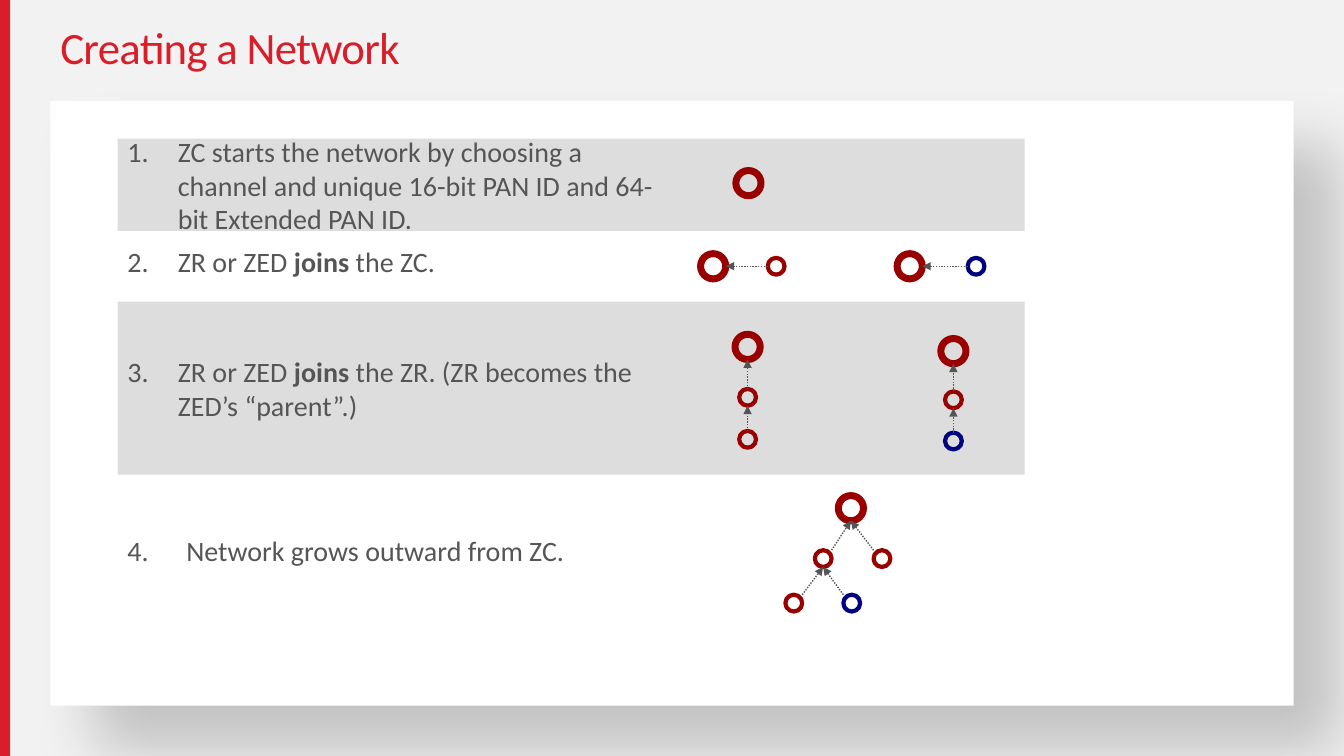
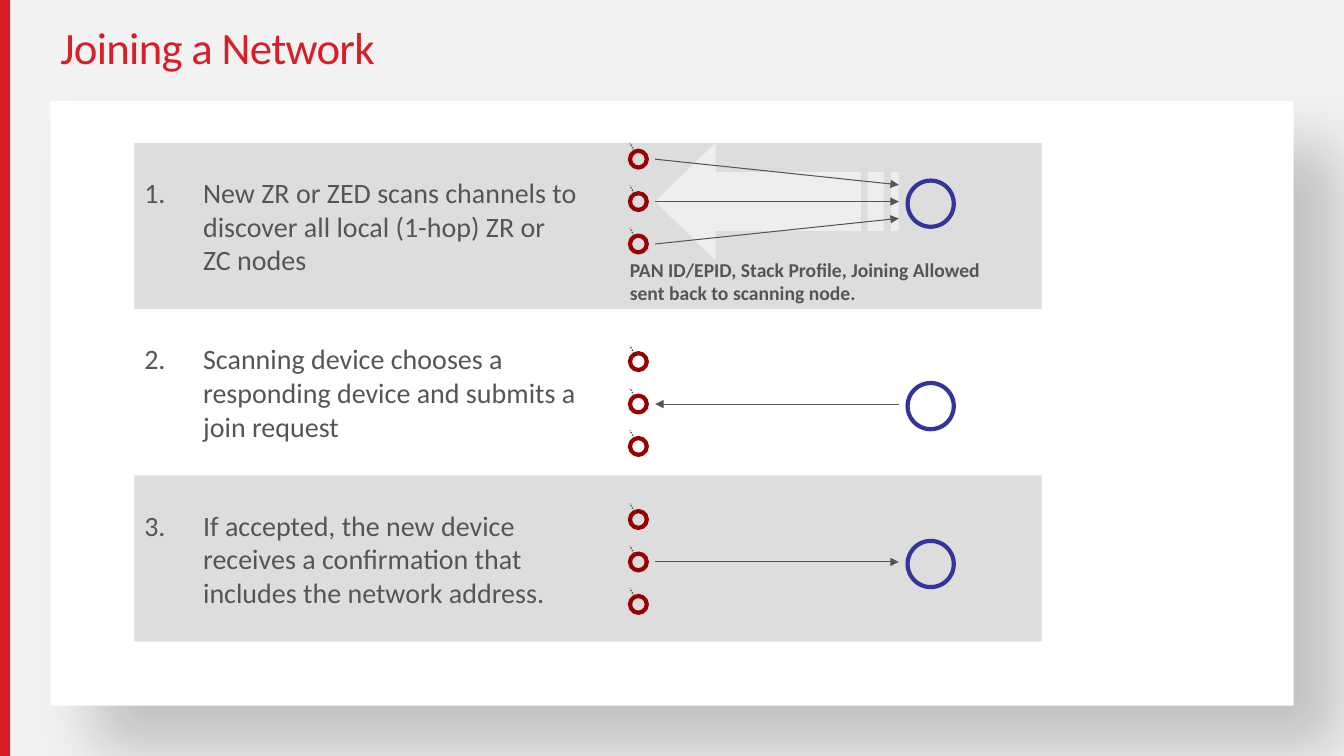
from lxml.etree import SubElement
from pptx import Presentation
from pptx.dml.color import RGBColor
from pptx.enum.dml import MSO_LINE
from pptx.enum.shapes import MSO_CONNECTOR, MSO_SHAPE
from pptx.enum.text import MSO_ANCHOR, PP_ALIGN
from pptx.oxml.ns import qn
from pptx.util import Inches, Pt

COLUMNS, ROWS = 160, 90
CELL = Inches(7.5) // ROWS
RED, GREY, BAND, WHITE, BACKGROUND = "D91E2A", "555555", "DDDDDD", "FFFFFF", "F2F2F2"
MAROON, NAVY, INDIGO, PALE = "990000", "000080", "333399", "F8F8F8"
FONT = "Calibri"
BAND_WIDTH = 108


def place(slide, geometry, box, fill=None, line=None, width=0, text="", size=20,
          color=GREY, anchor=MSO_ANCHOR.MIDDLE):
    box = [round(length * CELL) for length in box]
    if geometry is None:
        shape = slide.shapes.add_textbox(*box)
    else:
        shape = slide.shapes.add_shape(geometry, *box)
        shape.shadow.inherit = False
    if fill:
        shape.fill.solid()
        shape.fill.fore_color.rgb = RGBColor.from_string(fill)
    else:
        shape.fill.background()
    if line:
        shape.line.color.rgb = RGBColor.from_string(line)
        shape.line.width = Pt(width)
    else:
        shape.line.fill.background()
    if text:
        frame = shape.text_frame
        frame.word_wrap = True
        frame.vertical_anchor = anchor
        paragraph = frame.paragraphs[0]
        paragraph.alignment = PP_ALIGN.LEFT
        for index, part in enumerate(text.split("|")):
            run = paragraph.add_run()
            run.text = part
            run.font.name = FONT
            run.font.size = Pt(size)
            run.font.bold = index % 2 == 1
            run.font.color.rgb = RGBColor.from_string(color)
    return shape


def link(slide, start, end, width, dotted=False, arrow=True):
    points = [round(length * CELL) for length in (*start, *end)]
    connector = slide.shapes.add_connector(MSO_CONNECTOR.STRAIGHT, *points)
    connector.line.color.rgb = RGBColor.from_string(GREY)
    connector.line.width = Pt(width)
    if dotted:
        connector.line.dash_style = MSO_LINE.ROUND_DOT
    properties = connector._element.spPr
    if arrow:
        SubElement(properties.find(qn("a:ln")), qn("a:tailEnd"), type="triangle")
    SubElement(properties, qn("a:effectLst"))


presentation = Presentation()
presentation.slide_width = COLUMNS * CELL
presentation.slide_height = ROWS * CELL

contents = [
    ("Creating a Network", 14, 65, [
        (16.5, 11, 6, "ZC starts the network by choosing a channel and unique 16-bit PAN ID "
                      "and 64-bit Extended PAN ID."),
        (26.2, 9.7, 6, "ZR or ZED |joins| the ZC."),
        (35.9, 20.6, 6, "ZR or ZED |joins| the ZR. (ZR becomes the ZED’s “parent”.)"),
        (56.5, 18, 7, "Network grows outward from ZC."),
    ]),
    ("Joining a Network", 16, 54, [
        (17, 19.8, 7, "New ZR or ZED scans channels to discover all local (1-hop) ZR or ZC nodes"),
        (36.8, 19.8, 7, "Scanning device chooses a responding device and submits a join request"),
        (56.6, 19.8, 7, "If accepted, the new device receives a confirmation that includes the "
                        "network address."),
    ]),
]

slides = []
for title, left, text_width, steps in contents:
    slide = presentation.slides.add_slide(presentation.slide_layouts[6])
    slides.append(slide)
    slide.background.fill.solid()
    slide.background.fill.fore_color.rgb = RGBColor.from_string(BACKGROUND)
    place(slide, MSO_SHAPE.RECTANGLE, (0, 0, 1.2, ROWS), RED)

    card = place(slide, MSO_SHAPE.RECTANGLE, (6, 12, COLUMNS - 12, 72), WHITE)
    effects = card._element.spPr.find(qn("a:effectLst"))
    shadow = SubElement(effects, qn("a:outerShdw"), blurRad=str(Pt(45)), dist=str(Pt(45)),
                        dir="2700000", algn="tl", rotWithShape="0")
    shadow_color = SubElement(shadow, qn("a:srgbClr"), val="000000")
    SubElement(shadow_color, qn("a:alpha"), val="20000")

    heading = place(slide, None, (6, 0, COLUMNS - 12, 12), text=title, size=32, color=RED)
    paragraph = heading.text_frame.paragraphs[0]
    paragraph.line_spacing = 0.9
    paragraph.runs[0]._r.get_or_add_rPr().set("spc", "-50")

    for number, (top, height, indent, text) in enumerate(steps, 1):
        if number % 2:
            place(slide, MSO_SHAPE.RECTANGLE, (left, top, BAND_WIDTH, height), BAND)
        step = place(slide, None, (left, top, text_width, height), text=text)
        properties = step.text_frame.paragraphs[0]._p.get_or_add_pPr()
        properties.set("marL", str(indent * CELL))
        properties.set("indent", str(-indent * CELL))
        SubElement(properties, qn("a:buFont"), typeface="+mj-lt")
        SubElement(properties, qn("a:buAutoNum"), type="arabicPeriod", startAt=str(number))

creating, joining = slides

kinds = {"coordinator": (1.5, MAROON, 5), "router": (1, MAROON, 3), "end device": (1, NAVY, 3)}
nodes = [
    (89.1, 21.8, "coordinator", None),
    (84.9, 31.7, "coordinator", None),
    (92.4, 31.7, "router", 1),
    (108.3, 31.7, "coordinator", None),
    (116.2, 31.7, "end device", 3),
    (89, 41.3, "coordinator", None),
    (89, 47.3, "router", 5),
    (89, 52.3, "router", 6),
    (113.5, 41.8, "coordinator", None),
    (113.5, 47.6, "router", 8),
    (113.5, 52.5, "end device", 9),
    (101.3, 60.5, "coordinator", None),
    (98, 66.5, "router", 11),
    (105, 66.5, "router", 11),
    (94.5, 71.8, "router", 12),
    (101.4, 71.8, "end device", 12),
]
for x, y, kind, parent in nodes:
    radius, color, width = kinds[kind]
    place(creating, MSO_SHAPE.OVAL, (x - radius, y - radius, 2 * radius, 2 * radius),
          line=color, width=width)
    if parent is not None:
        parent_x, parent_y, parent_kind, _ = nodes[parent]
        reach = kinds[parent_kind][0]
        across = (parent_x > x) - (parent_x < x)
        down = (parent_y > y) - (parent_y < y)
        end = (parent_x, parent_y - down * reach) if down else (parent_x - across * reach, parent_y)
        link(creating, (x + across * radius, y + down * radius), end, 1, dotted=True)

ROUTER_X, DEVICE_X, GAP = 76, 110.8, 5.05
NEAR, FAR = 78, 107
scan_y, request_y, confirm_y = 24, 48.1, 66.9

for middle in (scan_y, request_y, confirm_y):
    place(joining, MSO_SHAPE.OVAL, (DEVICE_X - 2.75, middle - 2.5, 5.5, 5.5), line=INDIGO, width=3)
    for offset in (-GAP, 0, GAP):
        y = middle + offset
        place(joining, MSO_SHAPE.OVAL, (ROUTER_X - 1, y - 1, 2, 2), line=MAROON, width=3)
        link(joining, (ROUTER_X - 0.5, y - 1), (ROUTER_X - 1, y - 1.9), 1, dotted=True, arrow=False)

outlines = [[(85.2, -7), (85.2, -3.5), (102.5, -3.5), (102.5, 3.5), (85.2, 3.5), (85.2, 7), (NEAR, 0)]]
for left, right in ((103.3, 105.2), (106.1, FAR)):
    outlines.append([(left, -3.5), (right, -3.5), (right, 3.5), (left, 3.5)])
builder = joining.shapes.build_freeform(scale=1.0)
for outline in outlines:
    points = [(round(x * CELL), round((scan_y + y) * CELL)) for x, y in outline]
    builder.move_to(*points[0])
    builder.add_line_segments(points[1:], close=True)
reply_arrow = builder.convert_to_shape()
reply_arrow.shadow.inherit = False
reply_arrow.line.fill.background()
reply_arrow.fill.solid()
reply_arrow.fill.fore_color.rgb = RGBColor.from_string(PALE)
fill_color = reply_arrow._element.spPr.find(qn("a:solidFill"))[0]
SubElement(fill_color, qn("a:alpha"), val="65000")

for offset, spread in ((-GAP, -2), (GAP, 2), (0, 0)):
    link(joining, (NEAR, scan_y + offset), (FAR, scan_y + spread), 0.75)
link(joining, (FAR, request_y), (NEAR, request_y), 0.75)
link(joining, (NEAR, confirm_y), (FAR, confirm_y), 0.75)

caption = place(joining, None, (73.8, 30.1, 46.2, 6.8), size=14, anchor=MSO_ANCHOR.TOP,
                text="PAN ID/EPID, Stack Profile, Joining Allowed sent back to scanning node.")
caption.text_frame.paragraphs[0].runs[0].font.bold = True

presentation.save("out.pptx")
